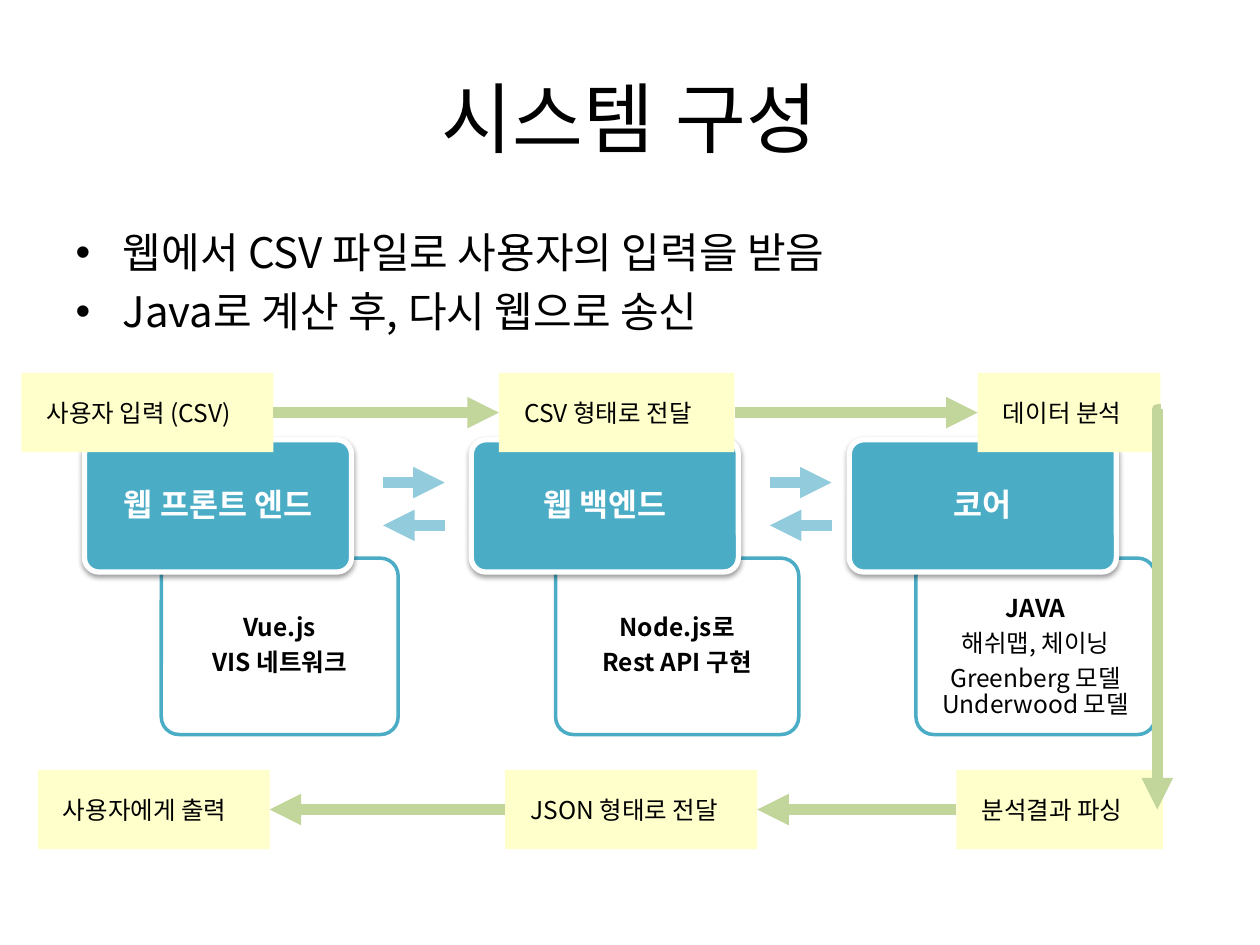
from dataclasses import dataclass

from lxml import etree
from pptx import Presentation
from pptx.dml.color import RGBColor
from pptx.enum.shapes import MSO_CONNECTOR, MSO_SHAPE
from pptx.enum.text import MSO_ANCHOR, MSO_AUTO_SIZE, PP_ALIGN
from pptx.oxml.ns import qn
from pptx.util import Inches, Pt

RECT, ROUNDED = MSO_SHAPE.RECTANGLE, MSO_SHAPE.ROUNDED_RECTANGLE
STRAIGHT, ELBOW = MSO_CONNECTOR.STRAIGHT, MSO_CONNECTOR.ELBOW
TOP, MIDDLE = MSO_ANCHOR.TOP, MSO_ANCHOR.MIDDLE
LEFT, CENTER = PP_ALIGN.LEFT, PP_ALIGN.CENTER
NO_AUTOFIT = MSO_AUTO_SIZE.NONE


@dataclass(frozen=True)
class Theme:
    title_font: str = "Arial"
    font: str = "Noto Sans CJK KR"
    ink: str = "000000"
    paper: str = "FFFFFF"
    accent: str = "4BACC6"
    label: str = "FFFFCC"
    flow: str = "C2D59B"
    exchange: str = "92CCDC"
    title_size: int = 44
    list_size: int = 24
    head_size: int = 18
    text_size: int = 14
    arrow_width: int = 6


THEME = Theme()

# Columns: head left, head text, detail left, detail width, bold lines, plain lines
COLUMNS = [
    (0.67, "웹 프론트 엔드", 1.28, 1.88, ["Vue.js", "VIS 네트워크"], []),
    (3.74, "웹 백엔드", 4.41, 1.93, ["Node.js로", "Rest API 구현"], []),
    (6.74, "코어", 7.27, 1.9, ["JAVA"],
     ["해쉬맵, 체이닝", "Greenberg 모델 Underwood 모델"]),
]
# Flow labels in the order of the flow: left, width, text
REQUEST_STEPS = [(0.17, 2, "사용자 입력 (CSV)"), (3.96, 1.87, "CSV 형태로 전달"),
                 (7.76, 1.45, "데이터 분석")]
REPLY_STEPS = [(7.59, 1.64, "분석결과 파싱"), (4.01, 2, "JSON 형태로 전달"),
               (0.3, 1.84, "사용자에게 출력")]
HEAD_TOP, HEAD_WIDTH, HEAD_HEIGHT = 3.49, 2.12, 1.05
DETAIL_TOP, DETAIL_HEIGHT = 4.43, 1.4
LABEL_HEIGHT = 0.63


def color(value):
    return RGBColor.from_string(value)


def style_spans(para, size, ink=THEME.ink, bold=None, font=THEME.font):
    for span in para.runs:
        span.font.size = Pt(size)
        span.font.name = font
        span.font.bold = bold
        span.font.color.rgb = color(ink)
        east_asian = etree.SubElement(span.font._element, qn("a:ea"))
        east_asian.set("typeface", font)


def add_box(page, kind, box, fill, line=None, line_width=0):
    shape = page.shapes.add_shape(kind, *map(Inches, box))
    shape.shadow.inherit = False
    shape.fill.solid()
    shape.fill.fore_color.rgb = color(fill)
    if line:
        shape.line.color.rgb = color(line)
        shape.line.width = Pt(line_width)
    else:
        shape.line.fill.background()
    return shape


def write_lines(shape, lines, inset, anchor=MIDDLE, align=CENTER, spacing=0.9):
    frame = shape.text_frame
    frame.word_wrap = True
    frame.vertical_anchor = anchor
    frame.margin_left = frame.margin_right = Inches(inset)
    frame.margin_top = frame.margin_bottom = Inches(inset)
    frame.text = "\n".join(lines)
    for index, para in enumerate(frame.paragraphs):
        para.alignment = align
        para.line_spacing = spacing
        if index:
            para.space_before = Pt(4.9)
    return frame


def add_soft_shadow(shape):
    effects = shape._element.spPr.find(qn("a:effectLst"))
    shadow = etree.SubElement(effects, qn("a:outerShdw"), blurRad=str(Pt(3.1)),
                              dist=str(Pt(1.6)), dir="5400000", rotWithShape="0")
    shade = etree.SubElement(shadow, qn("a:srgbClr"), val=THEME.ink)
    etree.SubElement(shade, qn("a:alpha"), val="38000")


def add_arrow(page, start, end, ink, kind=STRAIGHT):
    arrow = page.shapes.add_connector(kind, *map(Inches, (*start, *end)))
    arrow.line.color.rgb = color(ink)
    arrow.line.width = Pt(THEME.arrow_width)
    etree.SubElement(arrow.line._get_or_add_ln(), qn("a:tailEnd"), type="triangle")
    etree.SubElement(arrow._element.spPr, qn("a:effectLst"))
    return arrow


def place(shape, box):
    shape.left, shape.top, shape.width, shape.height = map(Inches, box)


def fill_title(page, box, text):
    title = page.shapes.title
    place(title, box)
    frame = title.text_frame
    frame.text = text
    frame.auto_size = NO_AUTOFIT
    frame.vertical_anchor = MIDDLE
    frame.paragraphs[0].alignment = CENTER
    style_spans(frame.paragraphs[0], THEME.title_size, font=THEME.title_font)


def fill_list(page, box, items):
    body = page.placeholders[1]
    place(body, box)
    frame = body.text_frame
    frame.text = "\n".join(items)
    frame.auto_size = NO_AUTOFIT
    for index, para in enumerate(frame.paragraphs):
        para.space_before = Pt(4.8 if index else 0)
        style_spans(para, THEME.list_size)


def add_detail(page, box, bold_lines, plain_lines):
    shape = add_box(page, ROUNDED, box, THEME.paper, THEME.accent, 2)
    shape.adjustments[0] = 0.1
    frame = write_lines(shape, bold_lines + plain_lines, 0.09)
    if plain_lines:
        frame.margin_top = Inches(0.27)
    for index, para in enumerate(frame.paragraphs):
        style_spans(para, THEME.text_size, bold=index < len(bold_lines))


def add_head(page, box, text):
    shape = add_box(page, ROUNDED, box, THEME.accent, THEME.paper, 3)
    shape.adjustments[0] = 0.11
    add_soft_shadow(shape)
    frame = write_lines(shape, [text], 0.11)
    style_spans(frame.paragraphs[0], THEME.head_size, THEME.paper, True)


def add_exchange(page, left, top, width, gap):
    """A pair of opposite arrows between two columns."""
    right, bottom = left + width, top + gap
    add_arrow(page, (left, top), (right, top), THEME.exchange)
    add_arrow(page, (right, bottom), (left, bottom), THEME.exchange)


def add_flow(page, top, steps):
    """A row of labels, each joined to the next by an arrow."""
    middle = top + LABEL_HEIGHT / 2
    for left, width, text in steps:
        shape = add_box(page, RECT, (left, top, width, LABEL_HEIGHT), THEME.label)
        frame = write_lines(shape, [text], 0.2, TOP, LEFT, 1)
        style_spans(frame.paragraphs[0], THEME.text_size)
    for (left, width, _), (next_left, next_width, _) in zip(steps, steps[1:]):
        if next_left > left:
            start, end = left + width, next_left
        else:
            start, end = left, next_left + next_width
        add_arrow(page, (start, middle), (end, middle), THEME.flow)


def add_turn(page, box):
    """The bent arrow from the request row down to the reply row."""
    left, top, width, height = box
    arrow = add_arrow(page, (left, top), (left + width, top + height), THEME.flow, ELBOW)
    properties = arrow._element.spPr
    properties.find(qn("a:xfrm")).set("rot", "5400000")
    guides = properties.find(qn("a:prstGeom")).find(qn("a:avLst"))
    etree.SubElement(guides, qn("a:gd"), name="adj1", fmla="val 0")


def main():
    deck = Presentation()
    deck.slide_width, deck.slide_height = Inches(10), Inches(7.5)
    page = deck.slides.add_slide(deck.slide_layouts[1])
    fill_title(page, (0.5, 0.3, 9, 1.25), "시스템 구성")
    fill_list(page, (0.5, 1.75, 9, 4.95),
              ["웹에서 CSV 파일로 사용자의 입력을 받음", "Java로 계산 후, 다시 웹으로 송신"])

    # System columns and the arrows between them
    for head_left, head, left, width, bold_lines, plain_lines in COLUMNS:
        add_detail(page, (left, DETAIL_TOP, width, DETAIL_HEIGHT), bold_lines, plain_lines)
        add_head(page, (head_left, HEAD_TOP, HEAD_WIDTH, HEAD_HEIGHT), head)
    for head_left, *_ in COLUMNS[:-1]:
        add_exchange(page, head_left + HEAD_WIDTH + 0.25, 3.83, 0.49, 0.34)

    # Data flow there and back
    add_flow(page, 2.96, REQUEST_STEPS)
    add_flow(page, 6.11, REPLY_STEPS)
    add_turn(page, (7.61, 4.82, 3.18, 0.03))
    deck.save("out.pptx")


if __name__ == "__main__":
    main()
